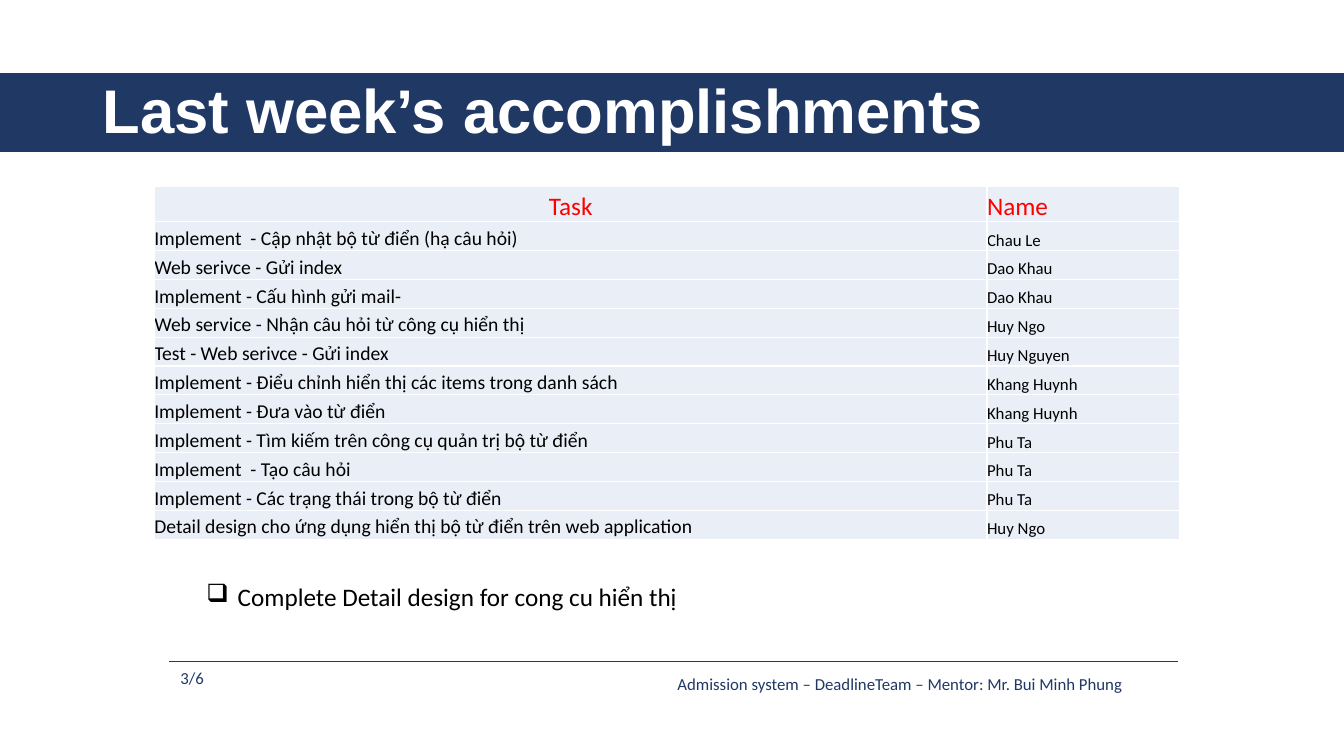
from dataclasses import dataclass
from lxml.etree import SubElement
from pptx import Presentation
from pptx.dml.color import RGBColor
from pptx.enum.shapes import MSO_CONNECTOR, MSO_SHAPE
from pptx.enum.text import MSO_ANCHOR, PP_ALIGN
from pptx.oxml import parse_xml
from pptx.oxml.ns import nsdecls, qn
from pptx.util import Inches, Pt


@dataclass(frozen=True)
class Theme:
    """Colours, fonts and type sizes of the slide."""
    navy: str = "203864"
    white: str = "FFFFFF"
    black: str = "000000"
    red: str = "FF0000"
    cell: str = "EAEFF7"
    head_font: str = "Arial"
    body_font: str = "Calibri"
    title: int = 44
    large: int = 18
    task: int = 14
    small: int = 12


T = Theme()
TASKS = [
    ("Implement  - Cập nhật bộ từ điển (hạ câu hỏi)", "Chau Le"),
    ("Web serivce - Gửi index", "Dao Khau"),
    ("Implement - Cấu hình gửi mail-", "Dao Khau"),
    ("Web service - Nhận câu hỏi từ công cụ hiển thị", "Huy Ngo"),
    ("Test - Web serivce - Gửi index", "Huy Nguyen"),
    ("Implement - Điểu chỉnh hiển thị các items trong danh sách", "Khang Huynh"),
    ("Implement - Đưa vào từ điển", "Khang Huynh"),
    ("Implement - Tìm kiếm trên công cụ quản trị bộ từ điển", "Phu Ta"),
    ("Implement  - Tạo câu hỏi", "Phu Ta"),
    ("Implement - Các trạng thái trong bộ từ điển", "Phu Ta"),
    ("Detail design cho ứng dụng hiển thị bộ từ điển trên web application", "Huy Ngo"),
]


def set_attrs(obj, values):
    """Set each named attribute of an object."""
    for name, value in values.items():
        setattr(obj, name, value)


def write(tf, text, size, color, font=T.body_font, bold=False, **para):
    """Write one formatted paragraph into a text frame and return it."""
    p = tf.paragraphs[0]
    set_attrs(p, para)
    r = p.add_run()
    r.text = text
    set_attrs(r.font, {"name": font, "size": Pt(size), "bold": bold})
    r.font.color.rgb = RGBColor.from_string(color)
    return p


def add_text(s, x, y, w, h, text, size, color, anchor=MSO_ANCHOR.TOP, **fmt):
    """Add a wrapping text box and return its paragraph."""
    tf = s.shapes.add_textbox(Inches(x), Inches(y), Inches(w), Inches(h)).text_frame
    set_attrs(tf, {"word_wrap": True, "vertical_anchor": anchor})
    return write(tf, text, size, color, **fmt)


def title_band(s, x, y, w, h):
    """Draw the full-width band with the slide title."""
    sp = s.shapes.add_shape(MSO_SHAPE.RECTANGLE, Inches(x), Inches(y), Inches(w), Inches(h))
    sp.shadow.inherit = False
    sp.fill.solid()
    sp.fill.fore_color.rgb = sp.line.color.rgb = RGBColor.from_string(T.navy)
    sp.line.width = Pt(1)
    add_text(s, x + 0.92, y - 0.33, 11.5, 1.45, "Last week’s accomplishments", T.title,
             T.white, MSO_ANCHOR.MIDDLE, font=T.head_font, bold=True, line_spacing=0.9)


def fill_cell(cell, text, size, color, align):
    """Fill one table cell and give it thin white borders."""
    set_attrs(cell, {"vertical_anchor": MSO_ANCHOR.BOTTOM, "margin_left": 0,
                     "margin_right": 0, "margin_top": 0, "margin_bottom": 0})
    cell.fill.solid()
    cell.fill.fore_color.rgb = RGBColor.from_string(T.cell)
    write(cell.text_frame, text, size, color, alignment=align)
    tc_pr = cell._tc.get_or_add_tcPr()
    for i, side in enumerate("LRTB"):
        tc_pr.insert(i, parse_xml(
            f'<a:ln{side} {nsdecls("a")} w="{Pt(1)}"><a:solidFill>'
            f'<a:srgbClr val="{T.white}"/></a:solidFill></a:ln{side}>'))


def task_table(s, x, y, w, h):
    """Draw the table of finished tasks and their owners."""
    rows = [("Task", "Name"), *TASKS]
    table = s.shapes.add_table(len(rows), 2, Inches(x), Inches(y), Inches(w), Inches(h)).table
    set_attrs(table, {"first_row": False, "horz_banding": False})
    name_w, head_h = 1.91, 0.35
    for col, width in zip(table.columns, (w - name_w, name_w)):
        col.width = Inches(width)
    for i, texts in enumerate(rows):
        table.rows[i].height = Inches(head_h if i == 0 else (h - head_h) / len(TASKS))
        sizes = (T.large, T.large) if i == 0 else (T.task, T.small)
        aligns = (PP_ALIGN.LEFT if i else PP_ALIGN.CENTER, PP_ALIGN.LEFT)
        for j, (text, size, align) in enumerate(zip(texts, sizes, aligns)):
            fill_cell(table.cell(i, j), text, size, T.black if i else T.red, align)


def summary(s, x, y, w, h):
    """Place the bulleted summary line."""
    p = add_text(s, x, y, w, h, "Complete Detail design for cong cu hiển thị", T.large, T.black)
    p_pr = p._p.get_or_add_pPr()
    indent = Inches(0.31)
    p_pr.set("marL", str(indent))
    p_pr.set("indent", str(-indent))
    SubElement(p_pr, qn("a:buChar")).set("char", "❑")


def footer(s, x, y, w, h):
    """Draw the footer rule, page number and team line."""
    rule = s.shapes.add_connector(MSO_CONNECTOR.STRAIGHT, Inches(x), Inches(y),
                                  Inches(x + w), Inches(y))
    rule.line.color.rgb = RGBColor.from_string(T.navy)
    rule.line.width = Pt(0.5)
    SubElement(rule._element.spPr, qn("a:effectLst"))
    team_w = 5.08
    add_text(s, x + w - team_w + 0.02, y + 0.07, team_w, h,
             "Admission system – DeadlineTeam – Mentor: Mr. Bui Minh Phung", T.small, T.navy)
    add_text(s, x + 0.01, y + 0.02, 0.51, h, "3/6", T.small, T.navy)


def main():
    """Build and save the slide."""
    prs = Presentation()
    set_attrs(prs, {"slide_width": Inches(13.33), "slide_height": Inches(7.5)})
    s = prs.slides.add_slide(prs.slide_layouts[6])
    title_band(s, 0, 0.73, 13.33, 0.77)
    footer(s, 1.68, 6.56, 10, 0.3)
    summary(s, 1.95, 5.72, 5.14, 0.4)
    task_table(s, 1.53, 1.85, 10.17, 3.5)
    prs.save("out.pptx")


main()
